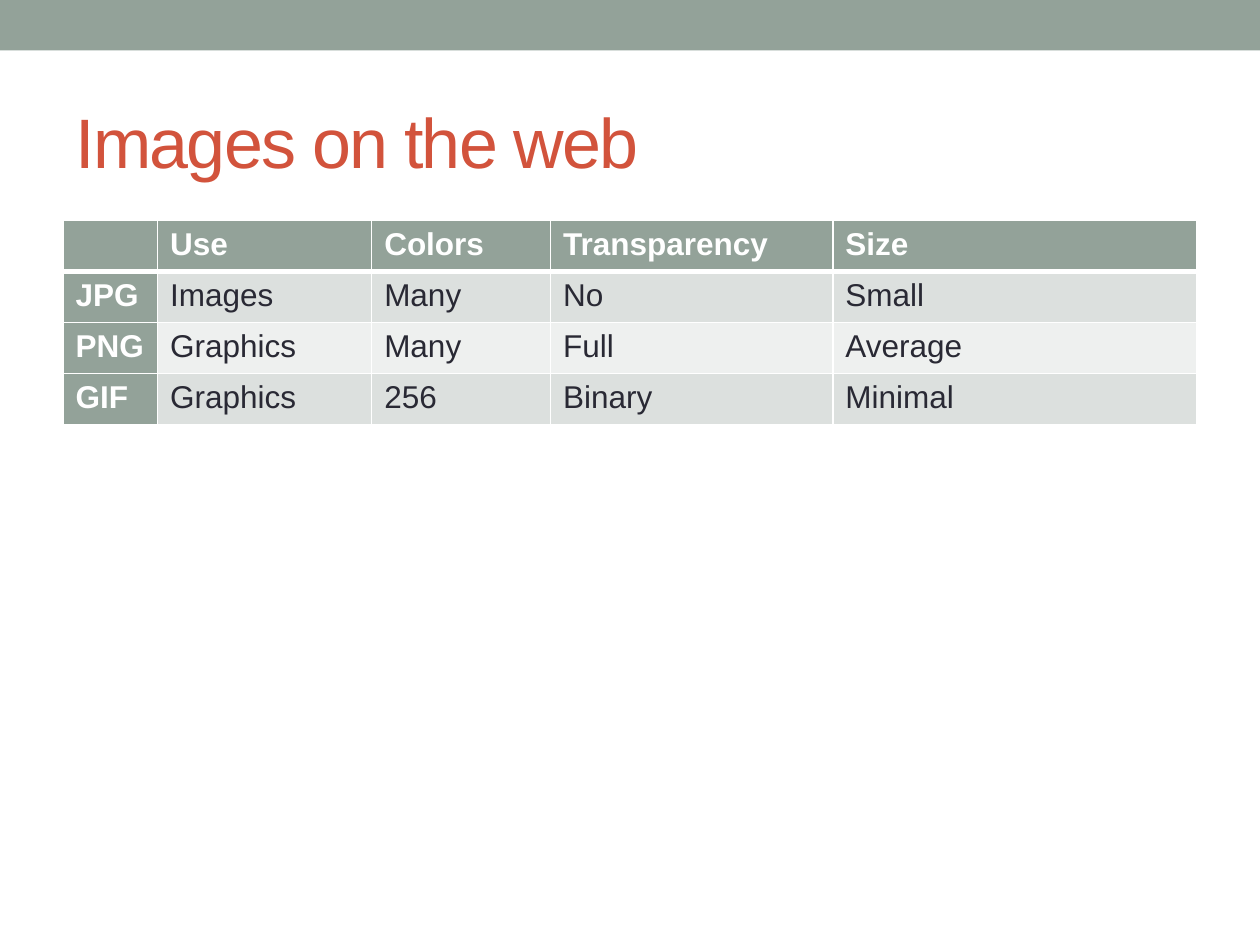
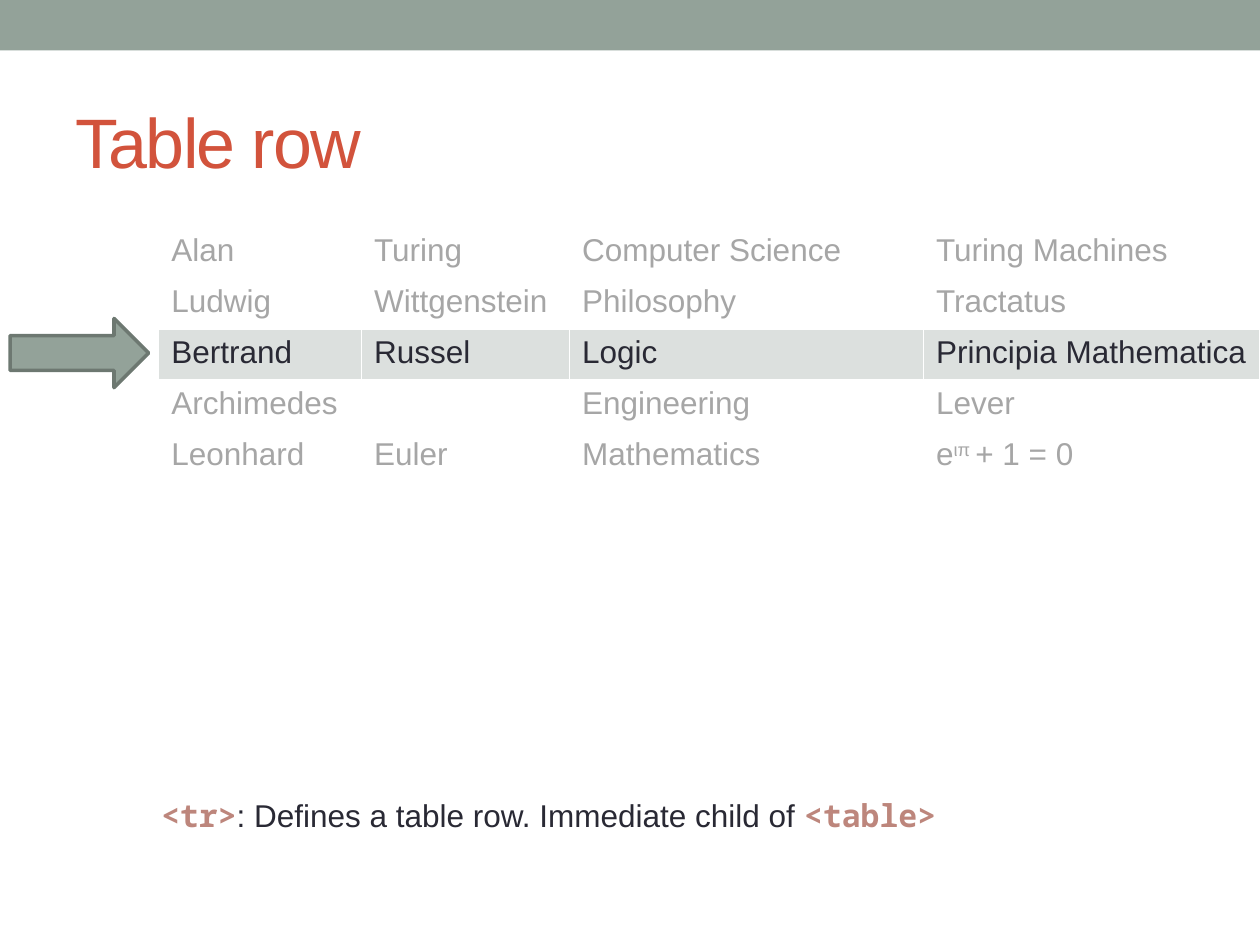
from dataclasses import dataclass

from lxml import etree
from pptx import Presentation
from pptx.dml.color import RGBColor
from pptx.enum.shapes import MSO_SHAPE
from pptx.enum.text import MSO_ANCHOR, MSO_AUTO_SIZE, PP_ALIGN
from pptx.oxml.ns import qn
from pptx.util import Inches, Pt

RECT, ARROW = MSO_SHAPE.RECTANGLE, MSO_SHAPE.RIGHT_ARROW
MIDDLE, LEFT = MSO_ANCHOR.MIDDLE, PP_ALIGN.LEFT
NO_FIT, GROW = MSO_AUTO_SIZE.NONE, MSO_AUTO_SIZE.SHAPE_TO_FIT_TEXT

WIDE, HIGH = 10, 7.5
SANS, MONO = "Arial", "Noto Sans Mono"
INK = {
    "sage": "93A299", "edge": "6D7871", "brick": "D2533C", "white": "FFFFFF",
    "dark": "292934", "dim": "A6A6A6", "band": "DCE0DE", "pale": "EEF0EF",
    "code": "BD867C",
}
ROW = 5.4
SIDES = "LRTB"


@dataclass(frozen=True)
class Box:
    """Percent shares of the slide's width and height."""
    left: float
    top: float
    width: float
    height: float

    def place(self) -> tuple:
        return (across(self.left), down(self.top),
                across(self.width), down(self.height))


@dataclass(frozen=True)
class Look:
    fill: str | None
    ink: str
    bold: bool = False


@dataclass(frozen=True)
class Grid:
    left: float
    top: float
    cols: tuple
    rows: tuple
    head: bool = False


BAND = Box(0, 0, 100, 5.33)
TITLE = Box(5, 7.7, 90, 14.4)
POINTER = Box(0.8, 33.7, 11, 7.33)
NOTE = Box(11.8, 83.6, 64.2, 5.33)

HEAD = Look("sage", "white", True)
ODD, EVEN = Look("band", "dark"), Look("pale", "dark")
FADED = Look(None, "dim")

FORMATS = Grid(5, 23.33, (7.5, 17, 14.2, 22.4, 28.9), (
    ("", "Use", "Colors", "Transparency", "Size"),
    ("JPG", "Images", "Many", "No", "Small"),
    ("PNG", "Graphics", "Many", "Full", "Average"),
    ("GIF", "Graphics", "256", "Binary", "Minimal"),
), head=True)
THINKERS = Grid(12.6, 24, (16.1, 16.5, 28.1, 26.7), (
    ("Alan", "Turing", "Computer Science", "Turing Machines"),
    ("Ludwig", "Wittgenstein", "Philosophy", "Tractatus"),
    ("Bertrand", "Russel", "Logic", "Principia Mathematica"),
    ("Archimedes", "", "Engineering", "Lever"),
    ("Leonhard", "Euler", "Mathematics", ("e", "ιπ ", "+ 1 = 0")),
))
CHOSEN = 2


def across(share: float) -> int:
    return Inches(WIDE * share / 100)


def down(share: float) -> int:
    return Inches(HIGH * share / 100)


def hue(name: str) -> RGBColor:
    return RGBColor.from_string(INK[name])


def write(para, text: str, *, ink: str, size: float = 18, face: str = SANS,
          bold: bool = False, lift: int = 0, track: float = 0) -> None:
    run = para.add_run()
    run.text = text
    font = run.font
    font.name, font.size, font.bold = face, Pt(size), bold
    font.color.rgb = hue(ink)
    props = run.font._element
    if lift:
        props.set("baseline", str(lift * 1000))
    if track:
        props.set("spc", str(int(track * 100)))


def draw(slide, kind, box: Box, fill: str, edge: str | None = None):
    shape = slide.shapes.add_shape(kind, *box.place())
    shape.shadow.inherit = False
    shape.fill.solid()
    shape.fill.fore_color.rgb = hue(fill)
    if edge:
        shape.line.color.rgb = hue(edge)
        shape.line.width = Pt(2)
    else:
        shape.line.fill.background()
    return shape


def rule(cell, side: str, width: float) -> None:
    props = cell._tc.get_or_add_tcPr()
    line = etree.SubElement(props, qn(f"a:ln{side}"), w=str(Pt(width)))
    fill = etree.SubElement(line, qn("a:solidFill"))
    etree.SubElement(fill, qn("a:srgbClr"), val=INK["white"])


def style(grid: Grid, row: int, col: int) -> Look:
    if grid.head:
        if row == 0 or col == 0:
            return HEAD
        return ODD if row % 2 else EVEN
    return ODD if row == CHOSEN else FADED


def fill_cell(cell, text: str | tuple, look: Look, thick: str) -> None:
    for side in SIDES:
        rule(cell, side, 3 if side == thick else 1)
    if look.fill:
        cell.fill.solid()
        cell.fill.fore_color.rgb = hue(look.fill)
    else:
        cell.fill.background()
    para = cell.text_frame.paragraphs[0]
    parts = (text,) if isinstance(text, str) else text
    for spot, part in enumerate(parts):
        if part:
            write(para, part, ink=look.ink, bold=look.bold, lift=30 * (spot % 2))


def add_grid(slide, grid: Grid) -> None:
    box = Box(grid.left, grid.top, sum(grid.cols), ROW * len(grid.rows))
    table = slide.shapes.add_table(
        len(grid.rows), len(grid.cols), *box.place()).table
    table.first_row = grid.head
    table.first_col = grid.head
    table.horz_banding = grid.head
    for col, width in zip(table.columns, grid.cols):
        col.width = across(width)
    for row, texts in enumerate(grid.rows):
        table.rows[row].height = down(ROW)
        thick = {0: "B", 1: "T"}.get(row, "") if grid.head else ""
        for col, text in enumerate(texts):
            fill_cell(table.cell(row, col), text, style(grid, row, col), thick)


def add_slide(deck, layout, title: str):
    slide = deck.slides.add_slide(layout)
    head = slide.shapes.title
    head.left, head.top, head.width, head.height = TITLE.place()
    frame = head.text_frame
    frame.vertical_anchor, frame.auto_size = MIDDLE, NO_FIT
    para = frame.paragraphs[0]
    para.alignment = LEFT
    write(para, title, ink="brick", size=40, track=-1)
    return slide


def add_note(slide) -> None:
    frame = slide.shapes.add_textbox(*NOTE.place()).text_frame
    frame.word_wrap, frame.auto_size = False, GROW
    para = frame.paragraphs[0]
    code = {"ink": "code", "face": MONO, "bold": True}
    write(para, "<tr>", **code)
    write(para, ": Defines a table row. Immediate child of ", ink="dark")
    write(para, "<table>", **code)


def main() -> None:
    deck = Presentation()
    deck.slide_width, deck.slide_height = Inches(WIDE), Inches(HIGH)
    layout = deck.slide_layouts.get_by_name("Title Only")

    first = add_slide(deck, layout, "Images on the web")
    band = draw(first, RECT, BAND, "sage")
    layout.shapes.element.insert(2, band.element)
    add_grid(first, FORMATS)

    second = add_slide(deck, layout, "Table row")
    add_grid(second, THINKERS)
    draw(second, ARROW, POINTER, "sage", "edge")
    add_note(second)

    deck.save("out.pptx")


if __name__ == "__main__":
    main()
